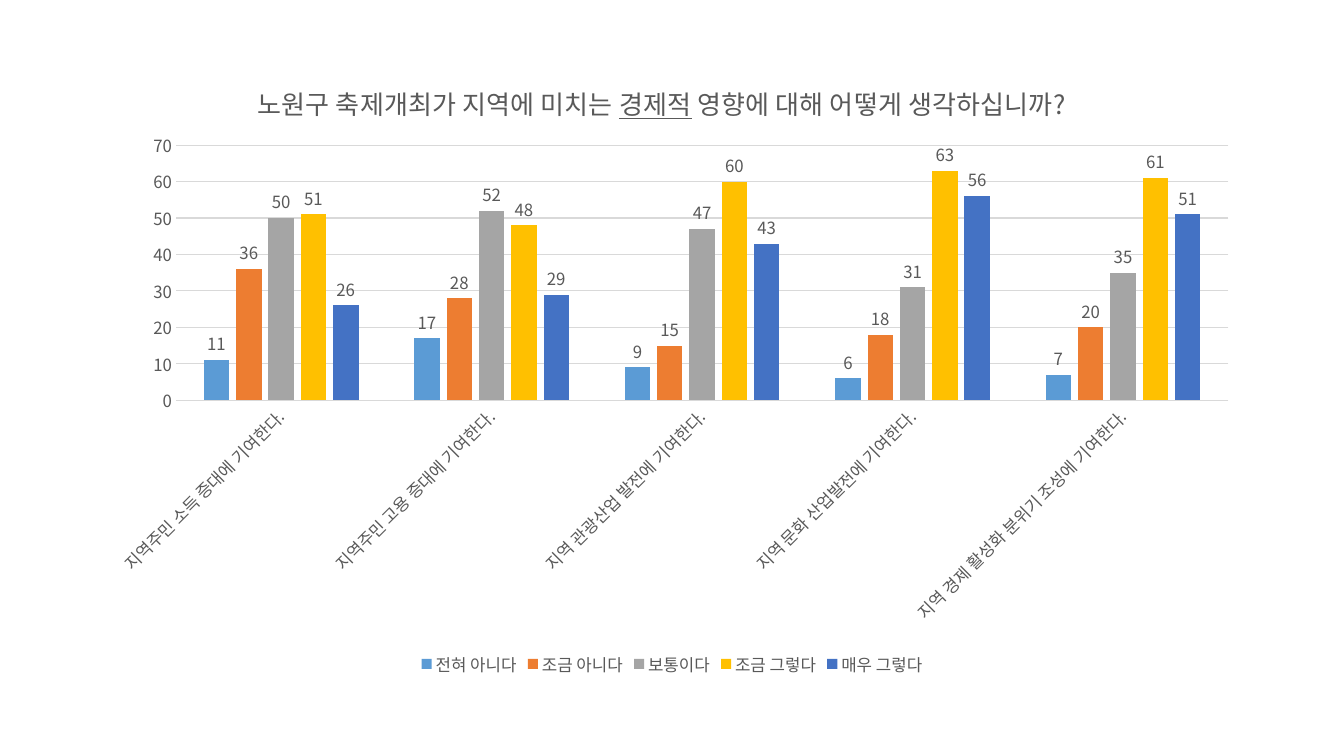
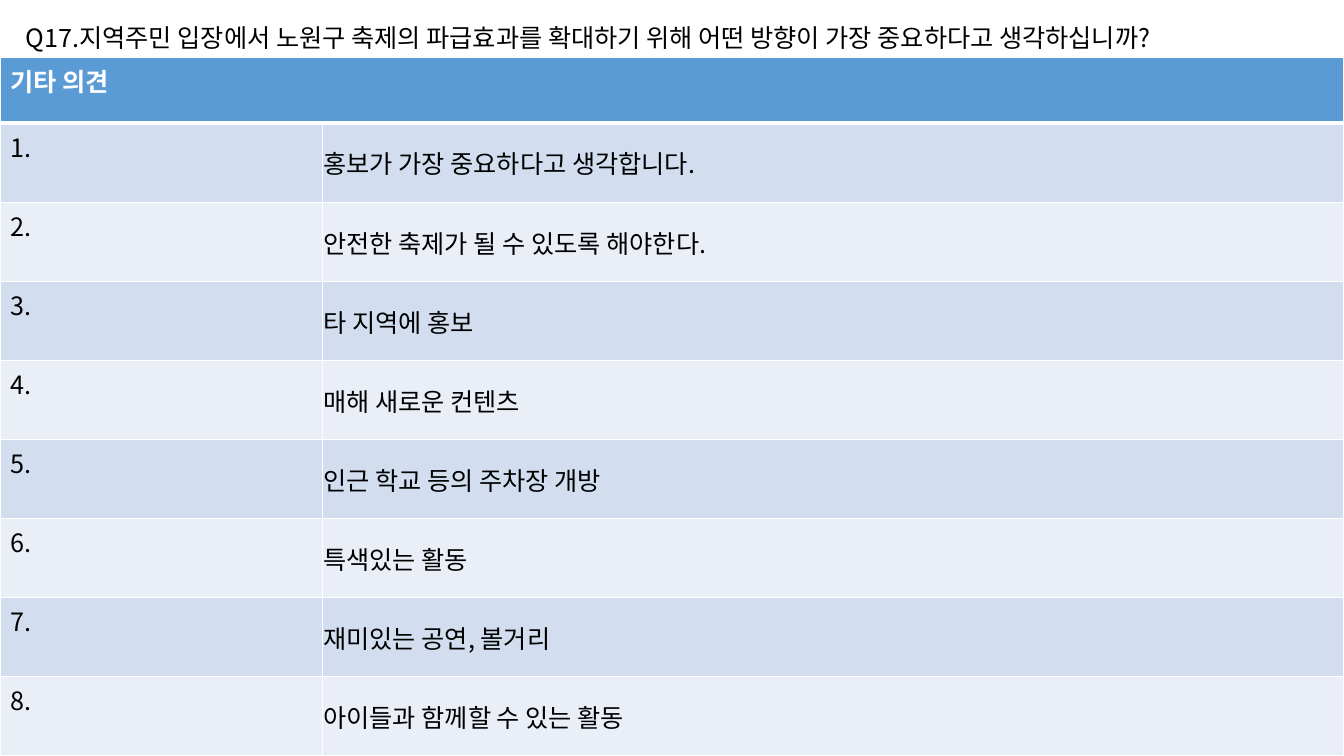
from lxml import etree
from pptx import Presentation
from pptx import util as u
from pptx.chart import data as chart_data
from pptx.dml import color
from pptx.enum import chart as chart_kinds, text
from pptx.oxml import ns

FONT = "Noto Sans CJK KR"
BLACK, WHITE, GREY, RULE, BLUE = "000000", "FFFFFF", "595959", "D9D9D9", "5B9BD5"
BANDS = ("D2DEEF", "EAEFF7")
BODY = {"name": FONT, "size": u.Pt(18), "bold": False}
CHART_TEXT = {"name": FONT, "size": u.Pt(12), "bold": False}
CHART_TITLE = {"name": FONT, "size": u.Pt(18.6), "bold": False}

IMPACTS = (
    "지역주민 소득 증대에 기여한다.",
    "지역주민 고용 증대에 기여한다.",
    "지역 관광산업 발전에 기여한다.",
    "지역 문화 산업발전에 기여한다.",
    "지역 경제 활성화 분위기 조성에 기여한다.",
)
ANSWERS = (
    ("전혀 아니다", BLUE, (11, 17, 9, 6, 7)),
    ("조금 아니다", "ED7D31", (36, 28, 15, 18, 20)),
    ("보통이다", "A5A5A5", (50, 52, 47, 31, 35)),
    ("조금 그렇다", "FFC000", (51, 48, 60, 63, 61)),
    ("매우 그렇다", "4472C4", (26, 29, 43, 56, 51)),
)
IMPACT_QUESTION = (
    ("노원구 축제개최가 지역에 미치는 ", False),
    ("경제적", True),
    (" 영향에 대해 어떻게 생각하십니까?", False),
)
DIRECTION_QUESTION = (
    "Q17.지역주민 입장에서 노원구 축제의 파급효과를 확대하기 위해 "
    "어떤 방향이 가장 중요하다고 생각하십니까?"
)
OPINIONS = (
    "홍보가 가장 중요하다고 생각합니다.",
    "안전한 축제가 될 수 있도록 해야한다.",
    "타 지역에 홍보",
    "매해 새로운 컨텐츠",
    "인근 학교 등의 주차장 개방",
    "특색있는 활동",
    "재미있는 공연, 볼거리",
    "아이들과 함께할 수 있는 활동",
)


def paint(fill, hex_code):
    """Make a fill solid in the given colour."""
    fill.solid()
    fill.fore_color.rgb = color.RGBColor.from_string(hex_code)


def assign(target, values):
    """Set every attribute named in a dict of format values."""
    for name, value in values.items():
        setattr(target, name, value)


def style_font(font, values, hex_code):
    """Apply a text style and its colour to a font."""
    assign(font, values)
    paint(font.fill, hex_code)


def add_east_asian_font(root):
    """Give each Latin font below the root the same East Asian font."""
    for latin in list(root.iter(ns.qn("a:latin"))):
        east_asian = etree.Element(ns.qn("a:ea"), typeface=FONT)
        latin.addnext(east_asian)


def place_part(part, position, fractions):
    """Lay out a chart part by fractions of the chart."""
    for old in part.findall(ns.qn("c:layout")):
        part.remove(old)
    layout = etree.Element(ns.qn("c:layout"))
    part.insert(position, layout)
    manual = etree.SubElement(layout, ns.qn("c:manualLayout"))
    for tag, value in fractions.items():
        etree.SubElement(manual, ns.qn(f"c:{tag}"), val=str(value))


def border_cell(cell, bottom):
    """Draw white borders round a cell, with its own bottom width."""
    properties = cell._tc.get_or_add_tcPr()
    for index, (side, points) in enumerate(zip("LRTB", (1, 1, 1, bottom))):
        line = etree.Element(ns.qn(f"a:ln{side}"), w=str(u.Pt(points)))
        fill = etree.SubElement(line, ns.qn("a:solidFill"))
        etree.SubElement(fill, ns.qn("a:srgbClr"), val=WHITE)
        properties.insert(index, line)


def fill_cell(cell, words, band, ink=BLACK, bold=False, bottom=1):
    """Write one table cell with its band colour and borders."""
    cell.text = words
    style_font(cell.text_frame.paragraphs[0].runs[0].font, {**BODY, "bold": bold}, ink)
    paint(cell.fill, band)
    border_cell(cell, bottom)


def style_axes(chart):
    """Format both axes of the survey chart."""
    categories, values = chart.category_axis, chart.value_axis
    for axis in (categories, values):
        assign(axis, {"major_tick_mark": chart_kinds.XL_TICK_MARK.NONE,
                      "minor_tick_mark": chart_kinds.XL_TICK_MARK.NONE})
        style_font(axis.tick_labels.font, CHART_TEXT, GREY)
    assign(values, {"minimum_scale": 0, "maximum_scale": 70, "major_unit": 10,
                    "has_major_gridlines": True})
    values.format.line.fill.background()
    for line in (categories.format.line, values.major_gridlines.format.line):
        paint(line.fill, RULE)
        line.width = u.Pt(0.75)
    slant = categories._element.find(ns.qn("c:txPr")).find(ns.qn("a:bodyPr"))
    slant.set("rot", "-2700000")
    slant.set("vert", "horz")


def title_chart(chart):
    """Write the chart question with its underlined key word."""
    chart.has_title = True
    title = chart.chart_title
    paragraph = title.text_frame.paragraphs[0]
    for words, underlined in IMPACT_QUESTION:
        run = paragraph.add_run()
        run.text = words
        style_font(run.font, {**CHART_TITLE, "underline": underlined}, GREY)
    place_part(title._element, 1, {"xMode": "edge", "yMode": "edge", "x": 0.14, "y": 0.04})


def add_survey_chart(slide, left, top, width, height):
    """Place the clustered column chart of answers in its box."""
    survey = chart_data.CategoryChartData()
    survey.categories = IMPACTS
    for name, _, counts in ANSWERS:
        survey.add_series(name, counts)
    chart = slide.shapes.add_chart(
        chart_kinds.XL_CHART_TYPE.COLUMN_CLUSTERED, left, top, width, height, survey).chart
    style_font(chart.font, {**CHART_TEXT, "size": u.Pt(10)}, BLACK)
    title_chart(chart)
    style_axes(chart)
    plot = chart.plots[0]
    assign(plot, {"gap_width": 219, "overlap": -27, "vary_by_categories": False})
    for series, (_, hue, _) in zip(plot.series, ANSWERS):
        paint(series.format.fill, hue)
        labels = series.data_labels
        assign(labels, {"show_value": True,
                        "position": chart_kinds.XL_LABEL_POSITION.OUTSIDE_END})
        style_font(labels.font, CHART_TEXT, GREY)
    chart.has_legend = True
    assign(chart.legend, {"position": chart_kinds.XL_LEGEND_POSITION.BOTTOM,
                          "include_in_layout": False})
    style_font(chart.legend.font, CHART_TEXT, GREY)
    place_part(chart._chartSpace.chart.plotArea, 0, {
        "layoutTarget": "inner", "xMode": "edge", "yMode": "edge",
        "x": 0.072, "y": 0.146, "w": 0.908, "h": 0.407})
    add_east_asian_font(chart._chartSpace)


def add_question(slide, left, top, width, height):
    """Place the survey question in its box."""
    frame = slide.shapes.add_textbox(left, top, width, height).text_frame
    assign(frame, {"word_wrap": False, "auto_size": text.MSO_AUTO_SIZE.SHAPE_TO_FIT_TEXT})
    run = frame.paragraphs[0].add_run()
    run.text = DIRECTION_QUESTION
    style_font(run.font, BODY, BLACK)


def add_opinion_table(slide, left, top, width, height):
    """Place the numbered table of other opinions in its box."""
    header_height, number_width = u.Cm(1.65), u.Cm(8.13)
    table = slide.shapes.add_table(len(OPINIONS) + 1, 2, left, top, width, height).table
    table.columns[0].width = number_width
    table.columns[1].width = width - number_width
    for row in table.rows:
        row.height = (height - header_height) // len(OPINIONS)
    table.rows[0].height = header_height
    header = table.cell(0, 0)
    header.merge(table.cell(0, 1))
    fill_cell(header, "기타 의견", BLUE, WHITE, True, 3)
    inset = u.Cm(0.02)
    for number, opinion in enumerate(OPINIONS, 1):
        band = BANDS[(number - 1) % 2]
        fill_cell(table.cell(number, 0), f"{number}.", band)
        answer = table.cell(number, 1)
        fill_cell(answer, opinion, band)
        assign(answer, {"vertical_anchor": text.MSO_ANCHOR.MIDDLE, "margin_left": inset,
                        "margin_top": inset, "margin_right": inset, "margin_bottom": 0})


def main():
    """Build and save the two survey slides."""
    deck = Presentation()
    assign(deck, {"slide_width": u.Cm(33.87), "slide_height": u.Cm(19.05)})
    impact, direction = (deck.slides.add_slide(deck.slide_layouts[6]) for _ in range(2))
    add_survey_chart(impact, u.Cm(2.33), u.Cm(1.35), u.Cm(29.21), u.Cm(15.8))
    add_opinion_table(direction, 0, u.Cm(1.45), deck.slide_width, u.Cm(17.6))
    add_question(direction, u.Cm(0.4), u.Cm(0.43), u.Cm(32.2), u.Cm(1.02))
    add_east_asian_font(direction._element)
    deck.save("out.pptx")


if __name__ == "__main__":
    main()
